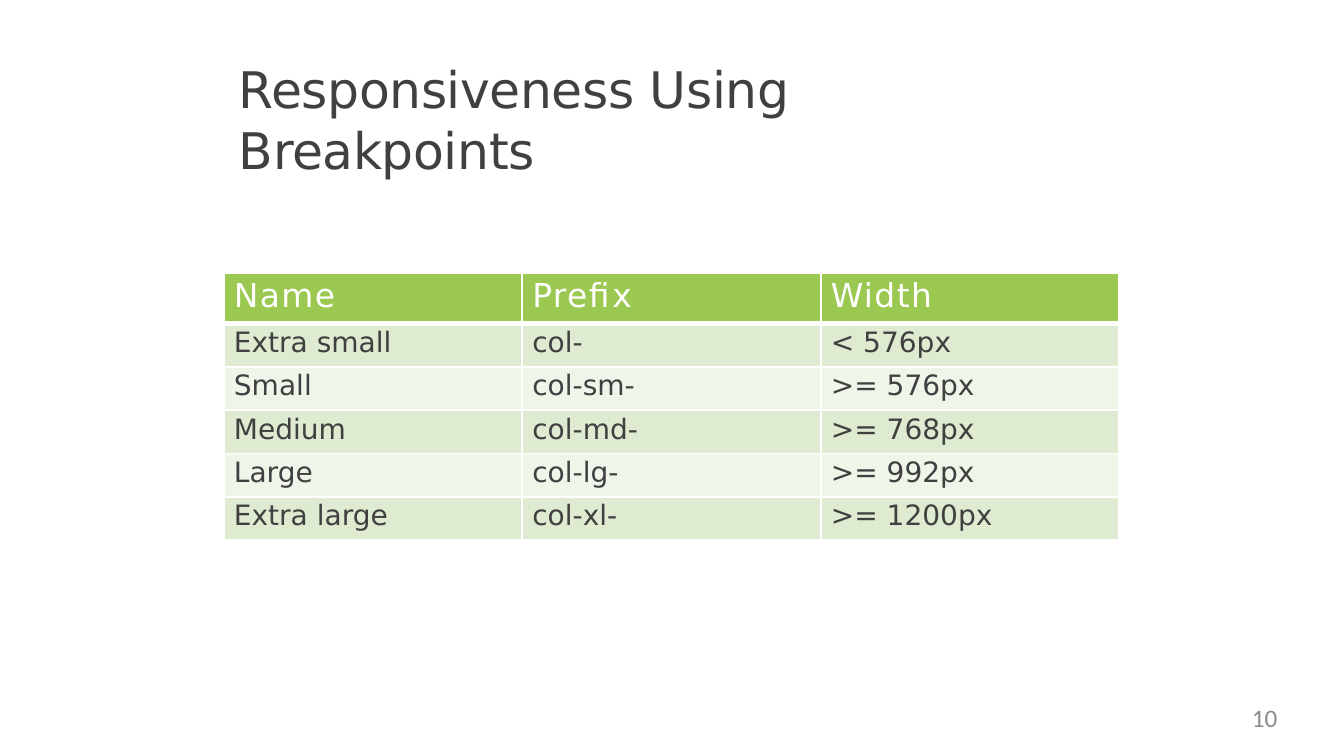
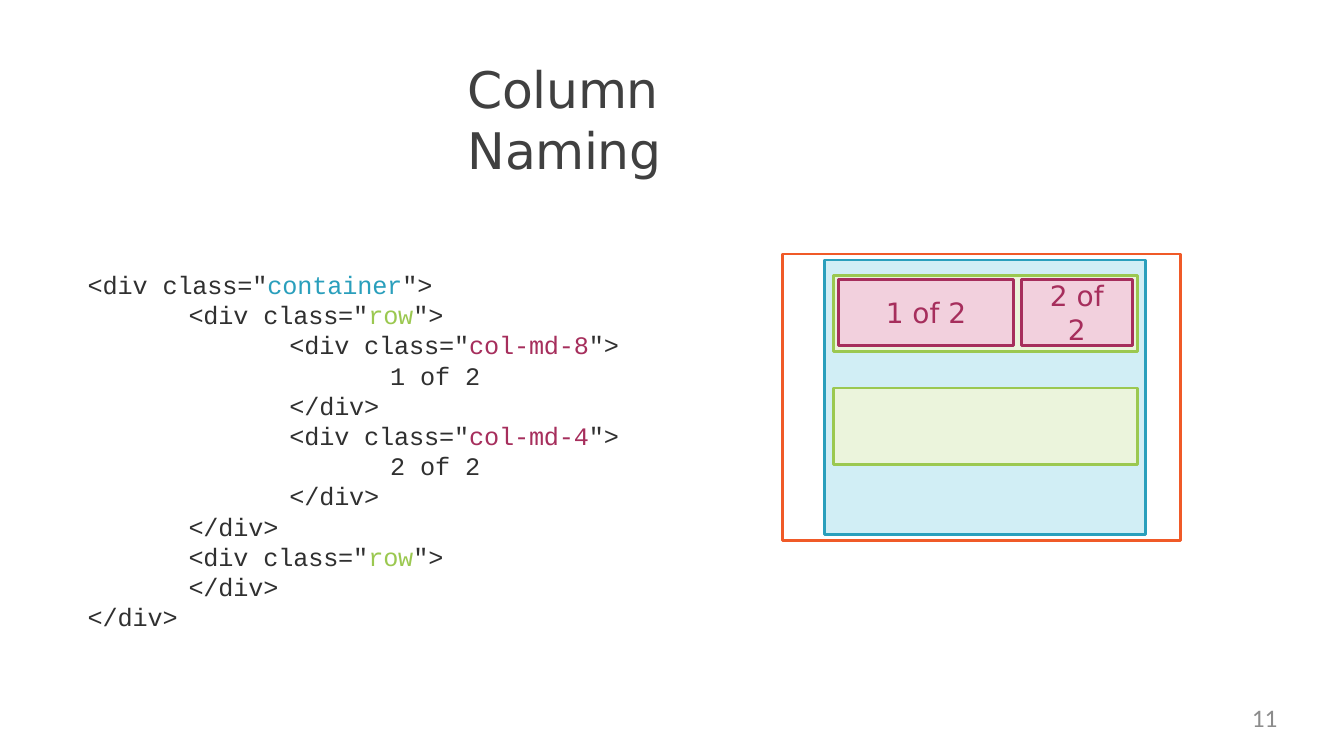
from lxml import etree
from pptx import Presentation
from pptx.dml.color import RGBColor
from pptx.enum.shapes import MSO_SHAPE
from pptx.enum.text import MSO_ANCHOR, MSO_AUTO_SIZE, PP_ALIGN
from pptx.oxml.ns import qn
from pptx.util import Inches, Pt

RECTANGLE = MSO_SHAPE.RECTANGLE
TOP, MIDDLE = MSO_ANCHOR.TOP, MSO_ANCHOR.MIDDLE
NO_AUTOFIT = MSO_AUTO_SIZE.NONE
LEFT, CENTER, RIGHT = PP_ALIGN.LEFT, PP_ALIGN.CENTER, PP_ALIGN.RIGHT

WHITE = RGBColor(0xFF, 0xFF, 0xFF)
CHARCOAL = RGBColor(0x40, 0x40, 0x40)
CODE_INK = RGBColor(0x30, 0x30, 0x30)
GRAY = RGBColor(0x8C, 0x8C, 0x8C)
ORANGE = RGBColor(0xF0, 0x5A, 0x28)
TEAL = RGBColor(0x2A, 0x9F, 0xBC)
PALE_TEAL = RGBColor(0xD1, 0xEE, 0xF5)
GREEN = RGBColor(0x9B, 0xC8, 0x50)
PALE_GREEN = RGBColor(0xEB, 0xF4, 0xDC)
BAND_DARK = RGBColor(0xDE, 0xEB, 0xD0)
BAND_LIGHT = RGBColor(0xEF, 0xF5, 0xE9)
BERRY = RGBColor(0xA6, 0x2E, 0x5C)
PALE_BERRY = RGBColor(0xF2, 0xD0, 0xDD)

SANS, MONO, FOOTER_FONT = "DejaVu Sans", "Courier New", "Calibri"
TITLE_ONLY, TITLE_AND_BODY = 5, 1

BREAKPOINTS = [
    ("Name", "Prefix", "Width"),
    ("Extra small", "col-", "< 576px"),
    ("Small", "col-sm-", ">= 576px"),
    ("Medium", "col-md-", ">= 768px"),
    ("Large", "col-lg-", ">= 992px"),
    ("Extra large", "col-xl-", ">= 1200px"),
]

CLASS_COLORS = {"container": TEAL, "row": GREEN, "col-md-8": BERRY, "col-md-4": BERRY}
OPENING, CLOSING, END_TAG = '<div class="', '">', "</div>"
MARKUP = [
    (0, (OPENING, "container", CLOSING)),
    (1, (OPENING, "row", CLOSING)),
    (2, (OPENING, "col-md-8", CLOSING)),
    (3, ("1 of 2",)),
    (2, (END_TAG,)),
    (2, (OPENING, "col-md-4", CLOSING)),
    (3, ("2 of 2",)),
    (2, (END_TAG,)),
    (1, (END_TAG,)),
    (1, (OPENING, "row", CLOSING)),
    (1, (END_TAG,)),
    (0, (END_TAG,)),
]


class Deck:
    """Holds the shared style and the slide being built."""

    def __init__(self):
        self.prs = Presentation()
        self.prs.slide_width, self.prs.slide_height = Inches(13.33), Inches(7.5)
        self.slide = None

    def style(self, run, font, size, color, tracking=0):
        run.font.name, run.font.size, run.font.bold = font, Pt(size), False
        run.font.color.rgb = color
        run._r.get_or_add_rPr().set("spc", str(round(tracking * 100)))

    def frame(self, shape, margins=(0, 0, 0, 0), anchor=TOP):
        frame = shape.text_frame
        frame.word_wrap, frame.auto_size = True, NO_AUTOFIT
        frame.vertical_anchor = anchor
        (frame.margin_left, frame.margin_top,
         frame.margin_right, frame.margin_bottom) = map(Inches, margins)
        return frame

    def place(self, shape, left, top, width, height):
        shape.left, shape.top = Inches(left), Inches(top)
        shape.width, shape.height = Inches(width), Inches(height)

    def start(self, layout, title, left, width, number):
        self.slide = self.prs.slides.add_slide(self.prs.slide_layouts[layout])
        heading = self.slide.shapes.title
        self.place(heading, left, 0.57, width, 1.25)
        self.label(self.frame(heading, (0.01, 0.01, 0, 0)), title, LEFT, SANS, 36, CHARCOAL, -0.3)
        footer = self.slide.shapes.add_textbox(
            Inches(9.6), Inches(6.97), Inches(3.07), Inches(0.38))
        self.label(self.frame(footer), str(number), RIGHT, FOOTER_FONT, 18, GRAY)

    def label(self, frame, text, align, font, size, color, tracking=0):
        frame.text = text
        paragraph = frame.paragraphs[0]
        paragraph.alignment = align
        self.style(paragraph.runs[0], font, size, color, tracking)

    def border(self, cell, side, points):
        line = etree.SubElement(cell._tc.get_or_add_tcPr(), qn(f"a:ln{side}"), w=str(Pt(points)))
        fill = etree.SubElement(line, qn("a:solidFill"))
        etree.SubElement(fill, qn("a:srgbClr"), val=str(WHITE))

    def table(self, rows, left, top, column_width, header_height, row_height):
        columns = len(rows[0])
        height = header_height + row_height * (len(rows) - 1)
        table = self.slide.shapes.add_table(
            len(rows), columns, Inches(left), Inches(top),
            Inches(column_width * columns), Inches(height)).table
        for column in table.columns:
            column.width = Inches(column_width)
        for index, values in enumerate(rows):
            header = index == 0
            table.rows[index].height = Inches(header_height if header else row_height)
            band = GREEN if header else BAND_DARK if index % 2 else BAND_LIGHT
            for column, value in enumerate(values):
                cell = table.cell(index, column)
                cell.margin_left, cell.margin_right = Inches(0.1), 0
                cell.margin_top, cell.margin_bottom = Inches(0.04 if header else 0.03), 0
                for side in "LR":
                    self.border(cell, side, 1.5)
                self.border(cell, "T", 4.25 if index == 1 else 1.5)
                self.border(cell, "B", 4.25 if header else 1.5)
                cell.fill.solid()
                cell.fill.fore_color.rgb = band
                look = (23.5, WHITE, 1) if header else (20, CHARCOAL)
                self.label(cell.text_frame, value, LEFT, SANS, *look)

    def code(self, lines, left, top, width, height):
        body = self.slide.placeholders[1]
        self.place(body, left, top, width, height)
        frame = self.frame(body, (0.01, 0.01, 0, 0))
        for index, (level, parts) in enumerate(lines):
            paragraph = frame.paragraphs[0] if index == 0 else frame.add_paragraph()
            paragraph.alignment, paragraph.line_spacing = LEFT, Pt(21.6)
            paragraph.space_before = paragraph.space_after = Pt(0)
            properties = paragraph._p.get_or_add_pPr()
            properties.set("marL", str(Inches(level)))
            properties.set("indent", "0")
            etree.SubElement(properties, qn("a:buNone"))
            for part in parts:
                run = paragraph.add_run()
                run.text = part
                self.style(run, MONO, 18, CLASS_COLORS.get(part, CODE_INK), -0.1)

    def box(self, left, top, width, height, outline, fill=None, caption=None, inset=0):
        box = self.slide.shapes.add_shape(
            RECTANGLE, Inches(left), Inches(top), Inches(width), Inches(height))
        box.shadow.inherit = False
        box.line.color.rgb, box.line.width = outline, Pt(2)
        if fill is None:
            box.fill.background()
        else:
            box.fill.solid()
            box.fill.fore_color.rgb = fill
        if caption:
            frame = self.frame(box, (inset, 0, inset, 0), MIDDLE)
            self.label(frame, caption, CENTER, SANS, 20, outline)


def main():
    deck = Deck()

    deck.start(TITLE_ONLY, "Responsiveness Using Breakpoints", 2.36, 8, 10)
    deck.table(BREAKPOINTS, 2.22, 2.71, 2.96, 0.5, 0.43)

    deck.start(TITLE_AND_BODY, "Column Naming", 4.63, 3.5, 11)
    deck.code(MARKUP, 0.86, 2.66, 5.6, 3.63)
    deck.box(7.76, 2.52, 3.95, 2.84, ORANGE)
    deck.box(8.18, 2.58, 3.18, 2.72, TEAL, PALE_TEAL)
    for row_top in (2.73, 3.85):
        deck.box(8.27, row_top, 3.01, 0.76, GREEN, PALE_GREEN)
    deck.box(8.32, 2.77, 1.73, 0.66, BERRY, PALE_BERRY, "1 of 2")
    deck.box(10.13, 2.77, 1.1, 0.66, BERRY, PALE_BERRY, "2 of 2", 0.2)

    deck.prs.save("out.pptx")


if __name__ == "__main__":
    main()
